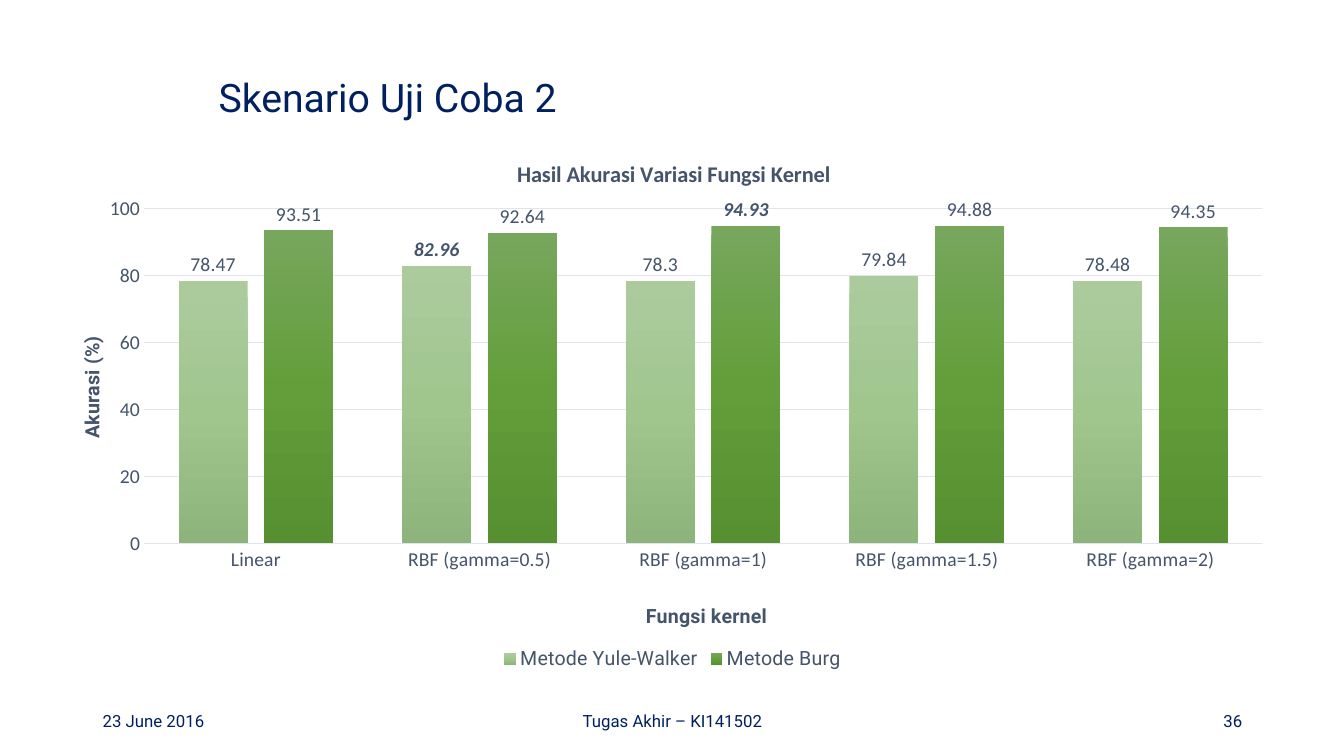
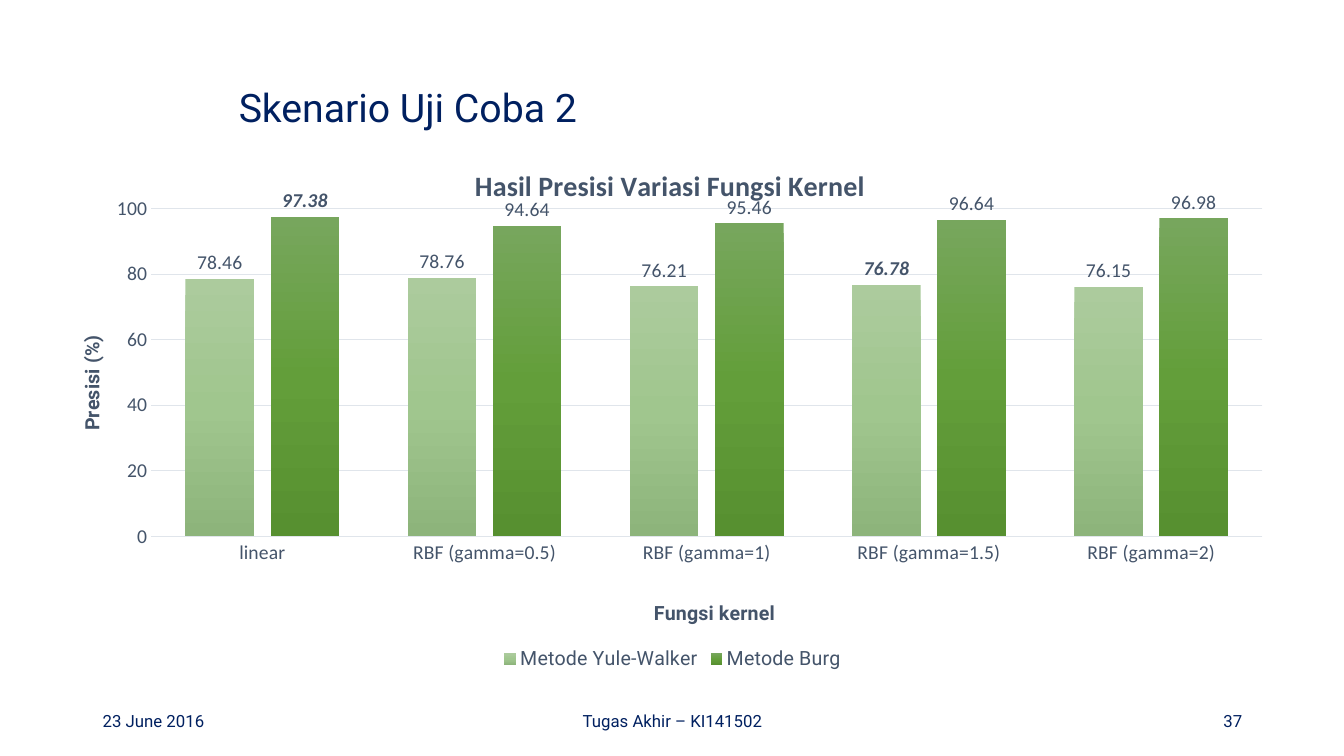
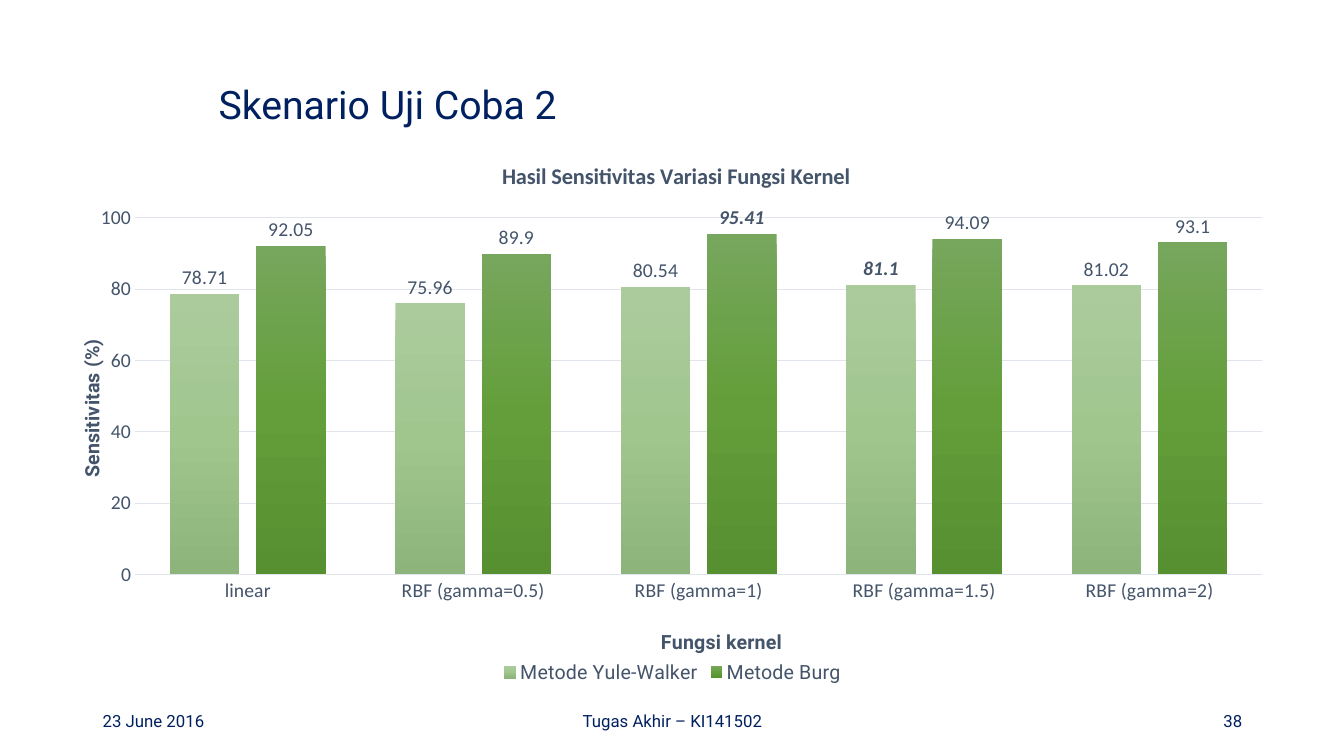
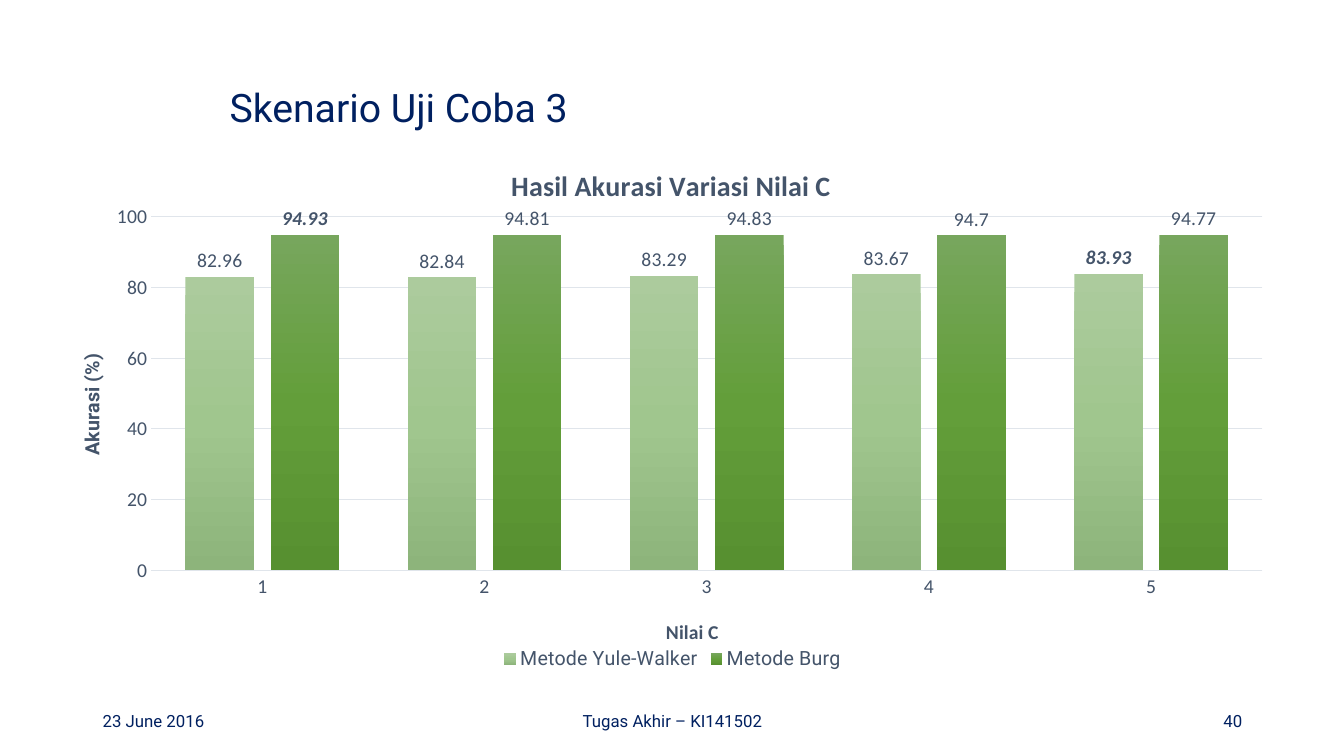
from dataclasses import dataclass

from lxml import etree
from pptx import Presentation
from pptx.chart import data as chart_data
from pptx.dml.color import RGBColor
from pptx.enum import chart as chart_enum
from pptx.enum import text as text_enum
from pptx.oxml.ns import qn
from pptx.util import Inches, Pt

COLORS = {"navy": "002060", "slate": "44546A", "grid": "E0E5EB"}
METHOD_GRADIENTS = {
    "Metode Yule-Walker": ("ACCB9D", "A0C68E", "8DB47B"),
    "Metode Burg": ("77A65D", "639E3A", "579030"),
}
HEAD_FONT, BODY_FONT = "Roboto", "Calibri"
ALIGN = text_enum.PP_ALIGN
CHART_LEFT, CHART_TOP, CHART_WIDTH = 0.67, 1.33, 12
PLOT_RIGHT = 11.85
AXIS_TITLE_LEFT = 0.07
GAMMAS = tuple(f"RBF (gamma={gamma})" for gamma in ("0.5", "1", "1.5", "2"))
Point = tuple[float, float]


@dataclass(frozen=True)
class Method:
    values: tuple[float, ...]
    best: int


@dataclass(frozen=True)
class Result:
    """One result slide; the positions inside the chart are in inches."""
    number: int
    heading: str
    heading_at: Point
    title: str
    title_at: Point
    title_size: int
    measure: str
    measure_top: float
    parameter: str
    parameter_at: Point
    parameter_font: str
    categories: tuple[str, ...]
    plot_at: Point
    plot_height: float
    methods: tuple[Method, Method]
    chart_height: float = 5.37


RESULTS = (
    Result(36, "Skenario Uji Coba 2", (2.07, 0.53),
           "Hasil Akurasi Variasi Fungsi Kernel", (4.42, 0.21), 16,
           "Akurasi (%)", 1.97, "Fungsi kernel", (5.7, 4.61), HEAD_FONT,
           ("Linear", *GAMMAS), (0.76, 0.74), 3.32,
           (Method((78.47, 82.96, 78.3, 79.84, 78.48), 1),
            Method((93.51, 92.64, 94.93, 94.88, 94.35), 2))),
    Result(37, "Skenario Uji Coba 2", (2.27, 0.62),
           "Hasil Presisi Variasi Fungsi Kernel", (3.99, 0.26), 20,
           "Presisi (%)", 1.96, "Fungsi kernel", (5.78, 4.58), HEAD_FONT,
           ("linear", *GAMMAS), (0.83, 0.74), 3.25,
           (Method((78.46, 78.76, 76.21, 76.78, 76.15), 3),
            Method((97.38, 94.64, 95.46, 96.64, 96.98), 0))),
    Result(38, "Skenario Uji Coba 2", (2.07, 0.59),
           "Hasil Sensitivitas Variasi Fungsi Kernel", (4.27, 0.23), 16,
           "Sensitivitas (%)", 2, "Fungsi kernel", (5.85, 4.87), HEAD_FONT,
           ("linear", *GAMMAS), (0.67, 0.83), 3.54,
           (Method((78.71, 75.96, 80.54, 81.1, 81.02), 3),
            Method((92.05, 89.9, 95.41, 94.09, 93.1), 2)), 5.5),
    Result(40, "Skenario Uji Coba 3", (2.18, 0.62),
           "Hasil Akurasi Variasi Nilai C", (4.35, 0.26), 20,
           "Akurasi (%)", 2.14, "Nilai C", (5.9, 4.77), BODY_FONT,
           ("1", "2", "3", "4", "5"), (0.83, 0.82), 3.51,
           (Method((82.96, 82.84, 83.29, 83.67, 83.93), 4),
            Method((94.93, 94.81, 94.83, 94.7, 94.77), 0))),
)


def style_font(font, *, size: int = 14, name: str = BODY_FONT, color: str = "slate",
               bold: bool = False, italic: bool = False) -> None:
    font.size, font.name, font.bold, font.italic = Pt(size), name, bold, italic
    font.color.rgb = RGBColor.from_string(COLORS[color])


def style_line(line) -> None:
    line.color.rgb = RGBColor.from_string(COLORS["grid"])
    line.width = Pt(0.75)


def add_text(slide, content: str, at: Point, size: Point, *, points: int = 12,
             align=ALIGN.LEFT, spacing: float = 1.0) -> None:
    box = slide.shapes.add_textbox(*map(Inches, (*at, *size)))
    frame = box.text_frame
    frame.word_wrap = True
    frame.vertical_anchor = text_enum.MSO_ANCHOR.MIDDLE
    paragraph = frame.paragraphs[0]
    paragraph.alignment, paragraph.line_spacing = align, spacing
    run = paragraph.add_run()
    run.text = content
    style_font(run.font, size=points, name=HEAD_FONT, color="navy")


def add_footer(slide, number: int) -> None:
    for content, left, width, align in (
        ("23 June 2016", 0.92, 3, ALIGN.LEFT),
        ("Tugas Akhir – KI141502", 4.42, 4.5, ALIGN.CENTER),
        (str(number), 9.42, 3, ALIGN.RIGHT),
    ):
        add_text(slide, content, (left, 6.95), (width, 0.4), align=align)


def set_layout(parent, index: int, **settings) -> None:
    """Give a chart part a manual layout, inserted as child number index."""
    for old in parent.findall(qn("c:layout")):
        parent.remove(old)
    layout = etree.Element(qn("c:layout"))
    manual = etree.SubElement(layout, qn("c:manualLayout"))
    for tag, value in settings.items():
        etree.SubElement(manual, qn(f"c:{tag}")).set("val", str(value))
    parent.insert(index, layout)


def set_title(title, content: str, at: Point, chart_height: float, *,
              size: int = 14, name: str = BODY_FONT) -> None:
    run = title.text_frame.paragraphs[0].add_run()
    run.text = content
    style_font(run.font, size=size, name=name, bold=True)
    set_layout(title.element, 1, xMode="edge", yMode="edge",
               x=at[0] / CHART_WIDTH, y=at[1] / chart_height)


def style_axes(chart, result: Result) -> None:
    categories, values = chart.category_axis, chart.value_axis
    for axis in (categories, values):
        axis.major_tick_mark = axis.minor_tick_mark = chart_enum.XL_TICK_MARK.NONE
        style_font(axis.tick_labels.font)
    style_line(categories.format.line)
    values.format.line.fill.background()
    values.minimum_scale, values.maximum_scale, values.major_unit = 0, 100, 20
    values.has_major_gridlines = True
    style_line(values.major_gridlines.format.line)
    set_title(categories.axis_title, result.parameter, result.parameter_at,
              result.chart_height, name=result.parameter_font)
    set_title(values.axis_title, result.measure, (AXIS_TITLE_LEFT, result.measure_top),
              result.chart_height, name=HEAD_FONT)
    body = next(values.axis_title.element.iter(qn("a:bodyPr")))
    body.set("rot", "-5400000")
    body.set("vert", "horz")


def style_columns(chart, result: Result) -> None:
    plot = chart.plots[0]
    plot.vary_by_categories = False
    plot.gap_width, plot.overlap = 100, -24
    outside = chart_enum.XL_LABEL_POSITION.OUTSIDE_END
    for series, method in zip(plot.series, result.methods):
        series.format.fill.gradient()
        series.format.fill.gradient_angle = 270
        labels = series.data_labels
        labels.show_value, labels.position = True, outside
        style_font(labels.font)
        best = series.points[method.best].data_label
        style_font(best.font, bold=True, italic=True)
        best.position = outside
    for stops, colors in zip(chart.element.iter(qn("a:gsLst")), METHOD_GRADIENTS.values()):
        for old in list(stops):
            stops.remove(old)
        for step, color in enumerate(colors):
            stop = etree.SubElement(stops, qn("a:gs"), pos=str(step * 50000))
            etree.SubElement(stop, qn("a:srgbClr"), val=color)


def add_result_chart(slide, result: Result) -> None:
    data = chart_data.CategoryChartData()
    data.categories = result.categories
    for name, method in zip(METHOD_GRADIENTS, result.methods):
        data.add_series(name, method.values)
    height = result.chart_height
    chart = slide.shapes.add_chart(
        chart_enum.XL_CHART_TYPE.COLUMN_CLUSTERED,
        *map(Inches, (CHART_LEFT, CHART_TOP, CHART_WIDTH, height)), data).chart
    style_font(chart.font)
    chart.has_title = True
    set_title(chart.chart_title, result.title, result.title_at, height,
              size=result.title_size)
    chart.has_legend = True
    chart.legend.position = chart_enum.XL_LEGEND_POSITION.BOTTOM
    chart.legend.include_in_layout = False
    style_font(chart.legend.font, name=HEAD_FONT)
    style_axes(chart, result)
    style_columns(chart, result)
    left, top = result.plot_at
    set_layout(next(chart.element.iter(qn("c:plotArea"))), 0,
               layoutTarget="inner", xMode="edge", yMode="edge",
               x=left / CHART_WIDTH, y=top / height,
               w=(PLOT_RIGHT - left) / CHART_WIDTH, h=result.plot_height / height)


def main() -> None:
    deck = Presentation()
    deck.slide_width, deck.slide_height = Inches(13.33), Inches(7.5)
    for result in RESULTS:
        slide = deck.slides.add_slide(deck.slide_layouts[6])
        add_text(slide, result.heading, result.heading_at, (12, 0.93),
                 points=28, spacing=0.9)
        add_result_chart(slide, result)
        add_footer(slide, result.number)
    deck.save("out.pptx")


if __name__ == "__main__":
    main()
